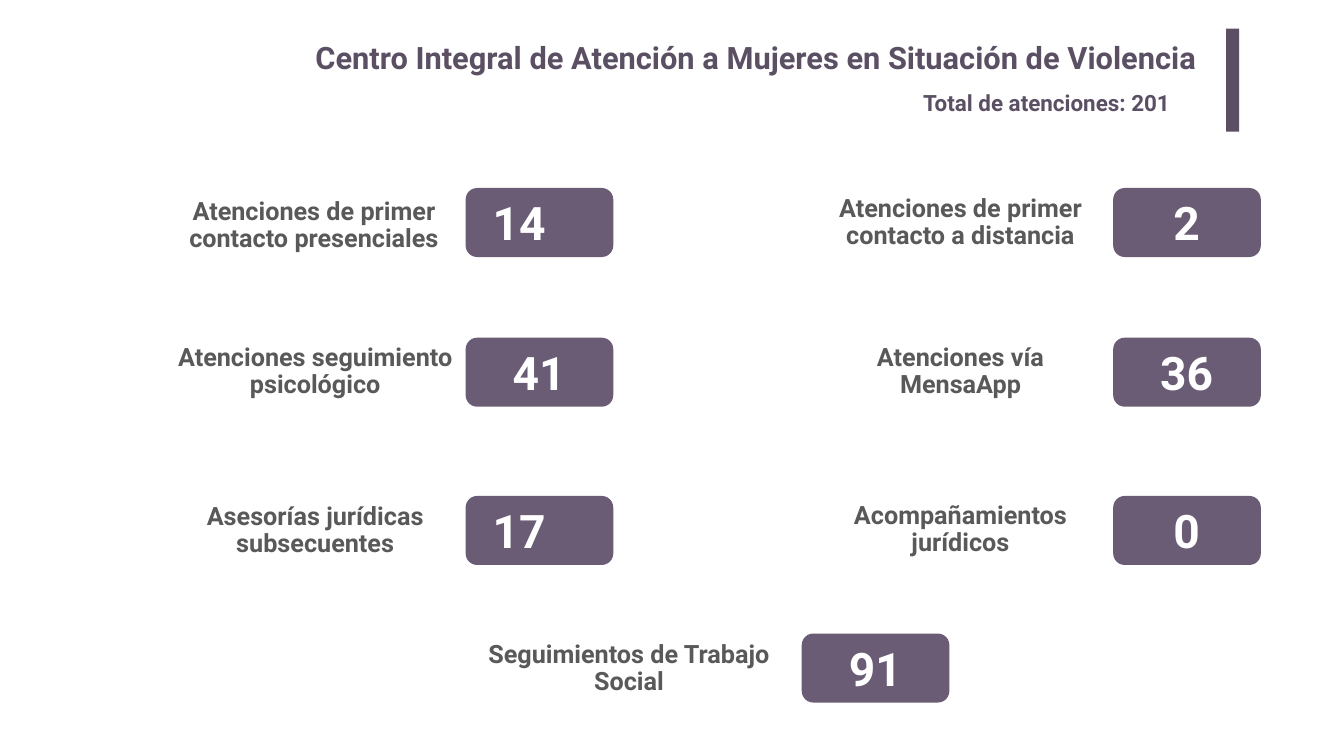
from pptx import Presentation
from pptx.dml.color import RGBColor
from pptx.enum.shapes import MSO_SHAPE
from pptx.enum.text import MSO_ANCHOR, MSO_AUTO_SIZE, PP_ALIGN
from pptx.util import Inches, Pt

COLORS = {"title": "5B4F63", "badge": "6A5C74", "label": "595959", "value": "FFFFFF"}

deck = Presentation()
deck.slide_width, deck.slide_height = Inches(26.67), Inches(15)
page = deck.slides.add_slide(deck.slide_layouts[5])


def write(box, text, size, color, align, anchor=MSO_ANCHOR.TOP, spacing=1.0, inset=0.1):
    frame = box.text_frame
    frame.word_wrap = True
    frame.auto_size = MSO_AUTO_SIZE.NONE
    frame.vertical_anchor = anchor
    frame.margin_left = frame.margin_right = Inches(inset)
    frame.margin_top = frame.margin_bottom = Inches(inset / 2)
    frame.text = text
    para = frame.paragraphs[0]
    para.alignment = align
    para.line_spacing = spacing
    para.space_before = Pt(0)
    para.font.name = "Roboto"
    para.font.size = Pt(size)
    para.font.bold = True
    para.font.color.rgb = RGBColor.from_string(COLORS[color])


def add_block(kind, left, top, width, height, color):
    block = page.shapes.add_shape(kind, Inches(left), Inches(top), Inches(width), Inches(height))
    block.shadow.inherit = False
    block.fill.solid()
    block.fill.fore_color.rgb = RGBColor.from_string(COLORS[color])
    block.line.fill.background()
    return block


title = page.shapes.title
title.left, title.top = Inches(3.66), Inches(0.67)
title.width, title.height = Inches(20.3), Inches(1.02)
write(title, "Centro Integral de Atención a Mujeres en Situación de Violencia",
      44, "title", PP_ALIGN.RIGHT, inset=0.2)

add_block(MSO_SHAPE.RECTANGLE, 24.33, 0.57, 0.26, 2.04, "title")
total = page.shapes.add_textbox(Inches(18.22), Inches(1.71), Inches(5.92), Inches(0.64))
write(total, "Total de atenciones: 201", 32, "title", PP_ALIGN.LEFT)

LEFT, RIGHT, MIDDLE = 9.24, 22.09, 15.91
ROWS = [3.73, 6.7, 9.84, 12.57]
services = [
    ("Atenciones de primer contacto presenciales", (3.49, 3.8, 5.48, 1.37),
     "14", LEFT, ROWS[0], PP_ALIGN.LEFT),
    ("Atenciones de primer contacto a distancia", (16.48, 3.81, 5.16, 1.21),
     "2", RIGHT, ROWS[0], PP_ALIGN.CENTER),
    ("Atenciones seguimiento psicológico", (2.35, 7.12, 7.81, 0.53),
     "41", LEFT, ROWS[1], PP_ALIGN.CENTER),
    ("Atenciones vía\vMensaApp", (16.1, 6.86, 5.92, 1.05),
     "36", RIGHT, ROWS[1], PP_ALIGN.CENTER),
    ("Asesorías jurídicas subsecuentes", (3.23, 10.13, 6.05, 0.8),
     "17", LEFT, ROWS[2], PP_ALIGN.LEFT),
    ("Acompañamientos jurídicos", (15.83, 10.2, 6.46, 0.64),
     "0", RIGHT, ROWS[2], PP_ALIGN.CENTER),
    ("Seguimientos de Trabajo Social", (9.24, 12.57, 6.48, 1.41),
     "91", MIDDLE, ROWS[3], PP_ALIGN.CENTER),
]

for label, area, value, left, top, align in services:
    caption = page.shapes.add_textbox(*[Inches(length) for length in area])
    write(caption, label, 36, "label", PP_ALIGN.CENTER, MSO_ANCHOR.MIDDLE, 0.9)
    add_block(MSO_SHAPE.ROUNDED_RECTANGLE, left, top, 2.93, 1.37, "badge")
    figure = page.shapes.add_textbox(Inches(left + 0.44), Inches(top + 0.08),
                                     Inches(2.04), Inches(1.21))
    write(figure, value, 66, "value", align)

deck.save("out.pptx")
